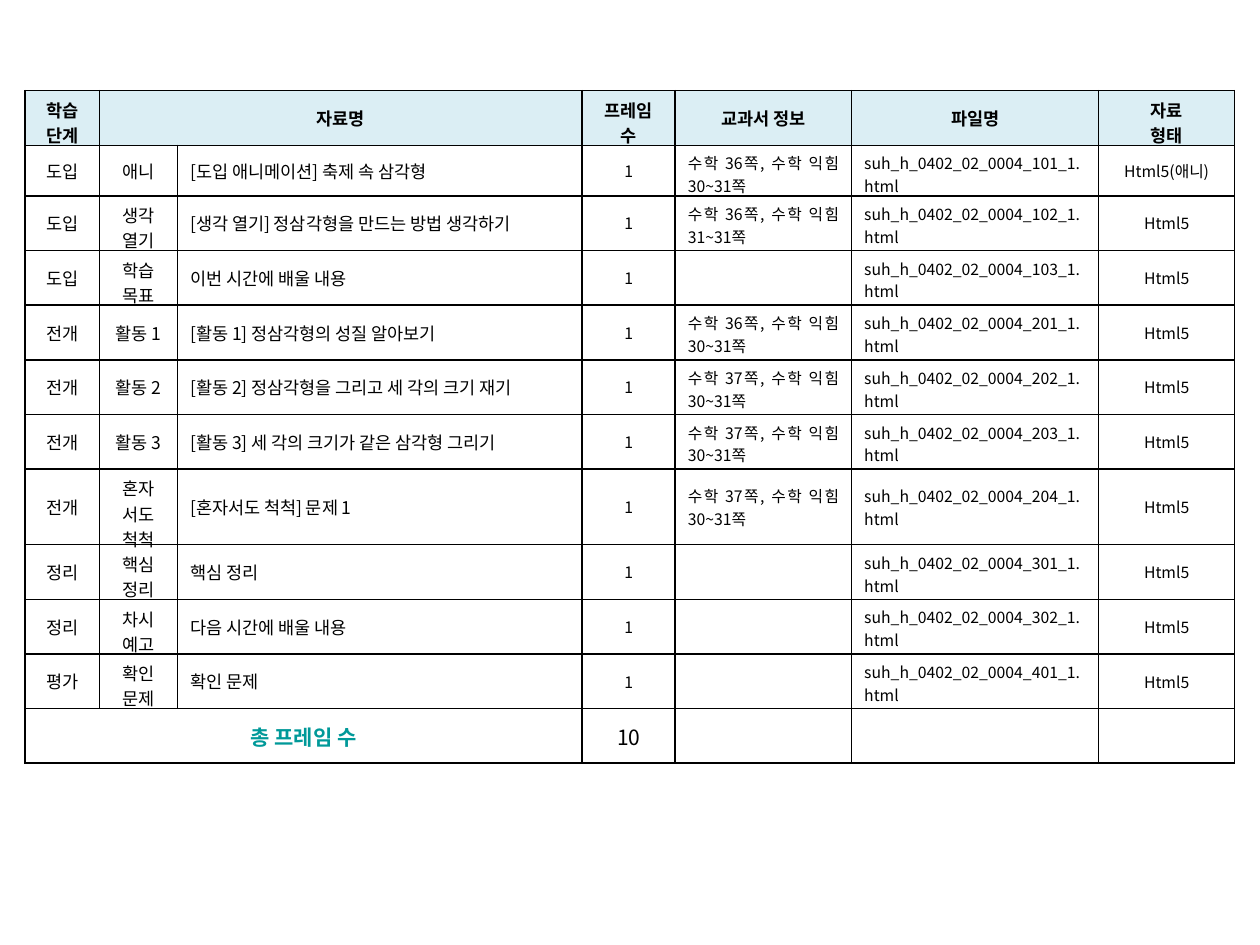
from math import ceil

from lxml.etree import SubElement
from pptx import Presentation
from pptx.dml.color import RGBColor
from pptx.enum.text import MSO_ANCHOR, PP_ALIGN as Align
from pptx.oxml.ns import qn
from pptx.util import Inches, Pt

FONT = "Noto Sans CJK KR"
BLACK = RGBColor(0x00, 0x00, 0x00)
TEAL = RGBColor(0x00, 0x99, 0x99)
PALE_BLUE = RGBColor(0xDB, 0xEE, 0xF4)

HEADER = ["학습 단계", "자료명", "", "프레임 수", "교과서 정보", "파일명", "자료\n형태"]
LESSONS = [
    ("도입", "애니", "[도입 애니메이션] 축제 속 삼각형", "수학 36쪽, 수학 익힘 30~31쪽", "101", "Html5(애니)"),
    ("도입", "생각 열기", "[생각 열기] 정삼각형을 만드는 방법 생각하기", "수학 36쪽, 수학 익힘 31~31쪽", "102", "Html5"),
    ("도입", "학습 목표", "이번 시간에 배울 내용", "", "103", "Html5"),
    ("전개", "활동 1", "[활동 1] 정삼각형의 성질 알아보기", "수학 36쪽, 수학 익힘 30~31쪽", "201", "Html5"),
    ("전개", "활동 2", "[활동 2] 정삼각형을 그리고 세 각의 크기 재기", "수학 37쪽, 수학 익힘 30~31쪽", "202", "Html5"),
    ("전개", "활동 3", "[활동 3] 세 각의 크기가 같은 삼각형 그리기", "수학 37쪽, 수학 익힘 30~31쪽", "203", "Html5"),
    ("전개", "혼자\n서도 척척", "[혼자서도 척척] 문제 1", "수학 37쪽, 수학 익힘 30~31쪽", "204", "Html5"),
    ("정리", "핵심 정리", "핵심 정리", "", "301", "Html5"),
    ("정리", "차시 예고", "다음 시간에 배울 내용", "", "302", "Html5"),
    ("평가", "확인 문제", "확인 문제", "", "401", "Html5"),
]
TOTAL = ["총 프레임 수", "", "", str(len(LESSONS)), "", "", ""]
TABLE_HEIGHT = 5.33
INTRO_HEIGHT, SOLO_HEIGHT = 0.4, 0.6
ROW_HEIGHT = (TABLE_HEIGHT - INTRO_HEIGHT - SOLO_HEIGHT) / 10
ROW_HEIGHTS = [ROW_HEIGHT, INTRO_HEIGHT] + [ROW_HEIGHT] * 5 + [SOLO_HEIGHT] + [ROW_HEIGHT] * 4
COL_WIDTHS = [0.59, 0.62, 3.21, 0.74, 1.4, 1.96, 1.08]
LINE_CHARS = [4, 4, 30, 4, 12, 24, 12]
ALIGNS = [Align.CENTER, Align.CENTER, Align.LEFT, Align.CENTER, Align.JUSTIFY, Align.JUSTIFY, Align.CENTER]
SIZES = [10, 10, 10, 9, 9, 9, 9]
MARGIN = 0.05
LINE_PITCH = 1.45


def set_borders(cell):
    """Draw a thin black line on each side of the cell."""
    tcPr = cell._tc.get_or_add_tcPr()
    for i, side in enumerate(("a:lnL", "a:lnR", "a:lnT", "a:lnB")):
        ln = SubElement(tcPr, qn(side), w=str(Pt(1)))
        SubElement(SubElement(ln, qn("a:solidFill")), qn("a:srgbClr"), val=str(BLACK))
        tcPr.remove(ln)
        tcPr.insert(i, ln)


def fit_margins(cell, text, size, chars, height):
    """Lower the bottom margin where the wrapped lines fill the row."""
    lines = sum(ceil(len(line) / chars) for line in text.split("\n"))
    room = height - MARGIN - lines * size * LINE_PITCH / 72
    cell.margin_top = Inches(MARGIN)
    cell.margin_bottom = Inches(min(MARGIN, room))


def write_cell(cell, text, size, align, color=BLACK, bold=False):
    """Fill the cell with one paragraph for each line of text."""
    cell.vertical_anchor = MSO_ANCHOR.MIDDLE
    tf = cell.text_frame
    for i, line in enumerate(text.split("\n")):
        p = tf.add_paragraph() if i else tf.paragraphs[0]
        p.alignment = align
        if not line:
            SubElement(p._p, qn("a:endParaRPr"), sz=str(size * 100))
            continue
        r = p.add_run()
        r.text = line
        r.font.size, r.font.bold, r.font.name = Pt(size), bold, FONT
        r.font.color.rgb = color
        SubElement(r._r.get_or_add_rPr(), qn("a:ea"), typeface=FONT)


def main():
    """Build the lesson material table."""
    prs = Presentation()
    prs.slide_width, prs.slide_height = Inches(10), Inches(7.5)
    s = prs.slides.add_slide(prs.slide_layouts[6])
    rows = [HEADER]
    for stage, part, title, pages, number, kind in LESSONS:
        rows.append([stage, part, title, "1", pages, f"suh_h_0402_02_0004_{number}_1.html", kind])
    rows.append(TOTAL)
    last = len(rows) - 1

    frame = s.shapes.add_table(
        len(rows), len(COL_WIDTHS), Inches(0.2), Inches(0.72), Inches(9.6), Inches(TABLE_HEIGHT))
    table = frame.table
    table.first_row = table.horz_banding = False
    for col, width in zip(table.columns, COL_WIDTHS):
        col.width = Inches(width)
    for row, height in zip(table.rows, ROW_HEIGHTS):
        row.height = Inches(height)

    for i, row in enumerate(rows):
        for j, text in enumerate(row):
            cell = table.cell(i, j)
            cell.fill.background()
            if i == 0:
                cell.fill.solid()
                cell.fill.fore_color.rgb = PALE_BLUE
                write_cell(cell, text, 10, Align.CENTER, bold=True)
                fit_margins(cell, text, 10, LINE_CHARS[j], ROW_HEIGHTS[i])
            elif i == last:
                label = j == 0
                write_cell(cell, text, 12, Align.CENTER, TEAL if label else BLACK, label)
            else:
                write_cell(cell, text, SIZES[j], ALIGNS[j])
                fit_margins(cell, text, SIZES[j], LINE_CHARS[j], ROW_HEIGHTS[i])
            set_borders(cell)
    table.cell(0, 1).merge(table.cell(0, 2))
    table.cell(last, 0).merge(table.cell(last, 2))
    prs.save("out.pptx")


if __name__ == "__main__":
    main()
